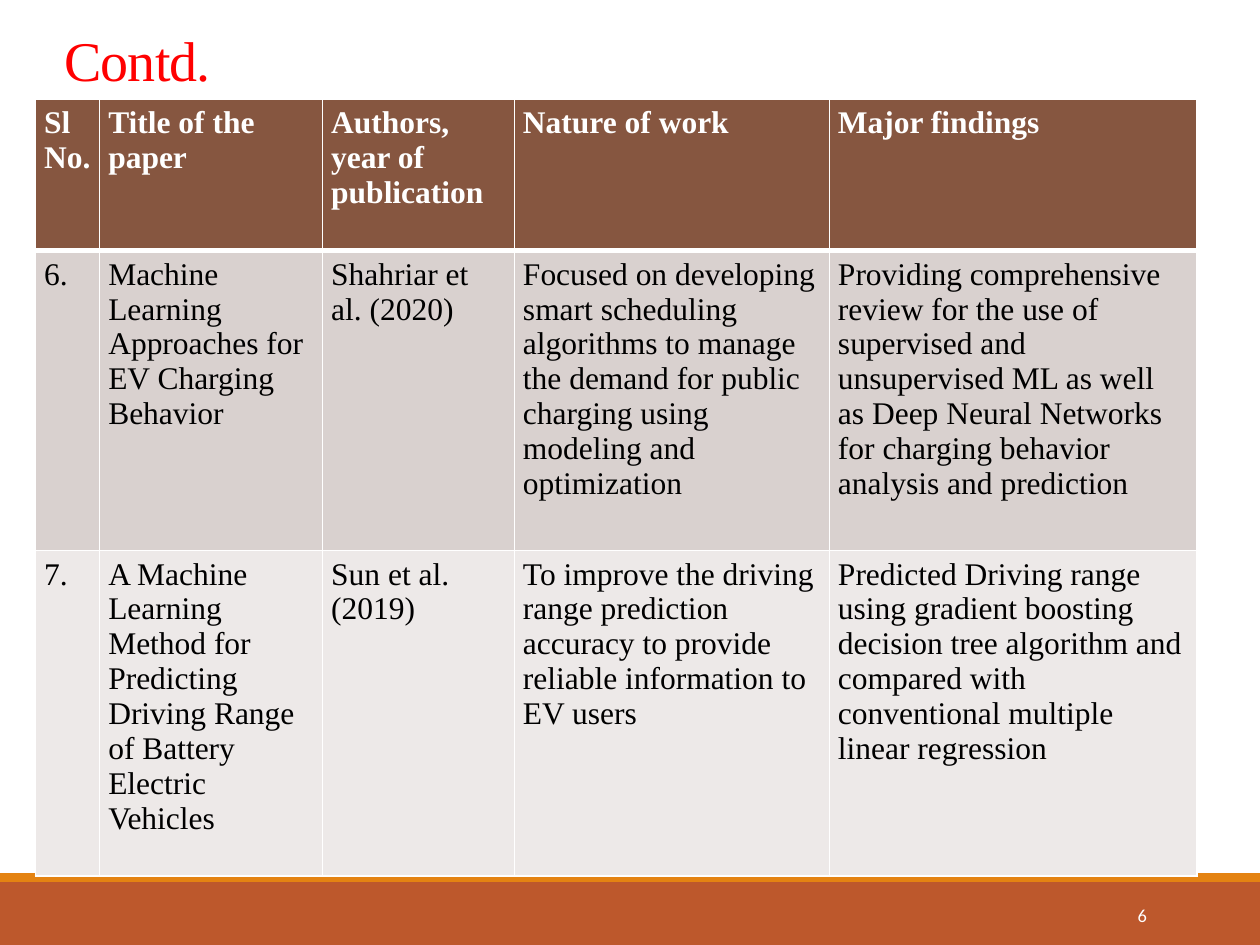
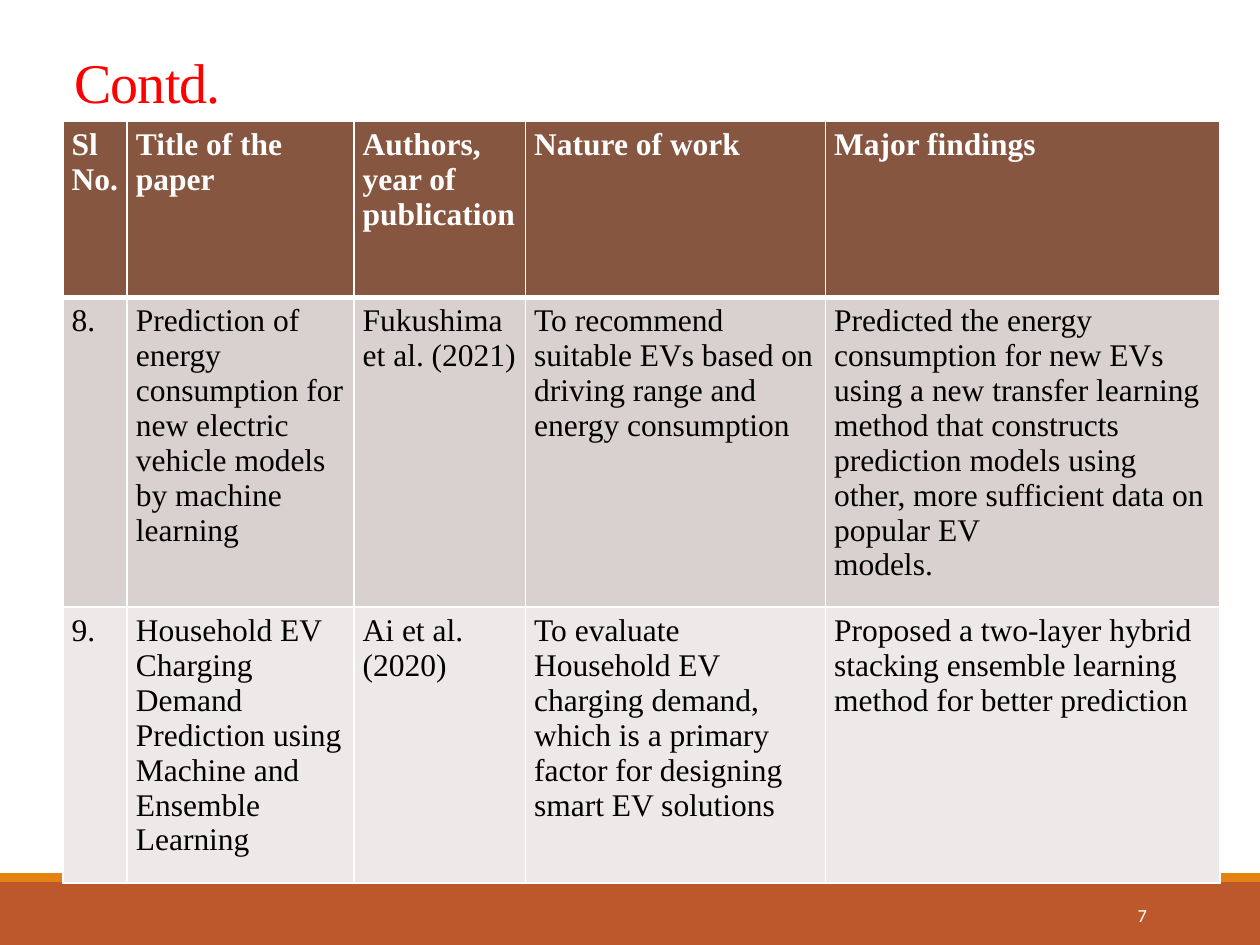
"""Builds two literature-survey slides, each with a table of papers."""
from lxml import etree
from pptx import Presentation
from pptx.dml.color import RGBColor
from pptx.enum.shapes import MSO_SHAPE
from pptx.enum.text import MSO_ANCHOR, MSO_AUTO_SIZE, PP_ALIGN
from pptx.oxml.ns import qn
from pptx.util import Pt

RECTANGLE = MSO_SHAPE.RECTANGLE
MIDDLE, BOTTOM = MSO_ANCHOR.MIDDLE, MSO_ANCHOR.BOTTOM
LEFT, RIGHT = PP_ALIGN.LEFT, PP_ALIGN.RIGHT
NO_AUTOFIT = MSO_AUTO_SIZE.NONE

SERIF, SANS = "Times New Roman", "Calibri"
WHITE, BLACK, RED = "FFFFFF", "000000", "FF0000"
ROW_FILLS = ["865640", "D9D1CF", "EDE9E8"]
BANDS = [(504, 36, "BD582C"), (499, 5, "E48312")]
HEADINGS = ["Sl\nNo.", "Title of the paper", "Authors, year of publication",
            "Nature of work", "Major findings"]

SURVEY_PAGES = [
    {
        "number": "6",
        "title_box": (29.5, -13.7, 620.6, 70.6),
        "table_corner": (20.2, 56.9),
        "columns": [36.7, 127.4, 109.6, 180, 210.2],
        "rows": [86.4, 171.4, 185.8],
        "papers": [
            ["6.", "Machine Learning Approaches for EV Charging Behavior",
             "Shahriar et al. (2020)",
             "Focused on developing smart scheduling algorithms to manage the demand "
             "for public charging using modeling and optimization",
             "Providing comprehensive review for the use of supervised and unsupervised "
             "ML as well as Deep Neural Networks for charging behavior analysis and "
             "prediction"],
            ["7.", "A Machine Learning Method for Predicting Driving Range of Battery "
             "Electric Vehicles",
             "Sun et al. (2019)",
             "To improve the driving range prediction accuracy to provide reliable "
             "information to EV users",
             "Predicted Driving range using gradient boosting decision tree algorithm "
             "and compared with conventional multiple linear regression"],
        ],
    },
    {
        "number": "7",
        "title_box": (35.3, 13, 620.6, 56.1),
        "table_corner": (36, 69.1),
        "columns": [36.7, 129.6, 98, 171.4, 225.4],
        "rows": [100.8, 177.1, 157.7],
        "papers": [
            ["8.", "Prediction of energy consumption for new electric vehicle models by "
             "machine learning",
             "Fukushima et al. (2021)",
             "To recommend suitable EVs based on driving range and energy consumption",
             "Predicted the energy consumption for new EVs using a new transfer learning "
             "method that constructs\n"
             "prediction models using other, more sufficient data on popular EV\n"
             "models."],
            ["9.", "Household EV Charging Demand Prediction using\n"
             "Machine and Ensemble Learning",
             "Ai et al. (2020)",
             "To evaluate Household EV charging demand, which is a primary factor for "
             "designing smart EV solutions",
             "Proposed a two-layer hybrid stacking ensemble learning method for better "
             "prediction"],
        ],
    },
]


def rgb(hex_code):
    return RGBColor.from_string(hex_code)


def write(frame, text, font_name, size, color, bold=False, align=LEFT):
    frame.text = text
    frame.word_wrap = True
    for paragraph in frame.paragraphs:
        paragraph.alignment = align
        paragraph.font.name = font_name
        paragraph.font.size = Pt(size)
        paragraph.font.bold = bold
        paragraph.font.color.rgb = rgb(color)


presentation = Presentation()
presentation.slide_width, presentation.slide_height = Pt(720), Pt(540)
title_only = presentation.slide_layouts[5]

for page in SURVEY_PAGES:
    slide = presentation.slides.add_slide(title_only)

    for top, height, color in BANDS:
        band = slide.shapes.add_shape(RECTANGLE, 0, Pt(top), Pt(720), Pt(height))
        band.shadow.inherit = False
        band.fill.solid()
        band.fill.fore_color.rgb = rgb(color)
        band.line.fill.background()

    title = slide.shapes.title
    title.left, title.top, title.width, title.height = map(Pt, page["title_box"])
    write(title.text_frame, "Contd.", SERIF, 32, RED)
    title.text_frame.auto_size = NO_AUTOFIT
    title.text_frame.vertical_anchor = BOTTOM
    heading = title.text_frame.paragraphs[0]
    heading.line_spacing = 0.85
    heading.runs[0].font._element.set("spc", "-50")

    left, top = page["table_corner"]
    papers = slide.shapes.add_table(
        len(page["rows"]), len(HEADINGS), Pt(left), Pt(top),
        Pt(sum(page["columns"])), Pt(sum(page["rows"]))).table
    for column, width in zip(papers.columns, page["columns"]):
        column.width = Pt(width)
    for row, height in zip(papers.rows, page["rows"]):
        row.height = Pt(height)

    for row_index, entries in enumerate([HEADINGS] + page["papers"]):
        is_header = row_index == 0
        border_widths = {"lnL": 1, "lnR": 1, "lnT": 3 if row_index == 1 else 1,
                         "lnB": 3 if is_header else 1}
        for column_index, entry in enumerate(entries):
            cell = papers.cell(row_index, column_index)
            write(cell.text_frame, entry, SERIF, 18,
                  WHITE if is_header else BLACK, bold=is_header)
            cell.margin_left = cell.margin_right = Pt(5)
            cell.margin_top = cell.margin_bottom = Pt(3.6)
            cell_properties = cell._tc.get_or_add_tcPr()
            for side, width in border_widths.items():
                border = etree.SubElement(cell_properties, qn(f"a:{side}"), w=str(Pt(width)))
                border_fill = etree.SubElement(border, qn("a:solidFill"))
                etree.SubElement(border_fill, qn("a:srgbClr"), val=WHITE)
            cell.fill.solid()
            cell.fill.fore_color.rgb = rgb(ROW_FILLS[row_index])

    page_number = slide.shapes.add_textbox(Pt(584.6), Pt(508.3), Pt(77.8), Pt(28.8))
    write(page_number.text_frame, page["number"], SANS, 10.5, WHITE, align=RIGHT)
    page_number.text_frame.vertical_anchor = MIDDLE

presentation.save("out.pptx")
